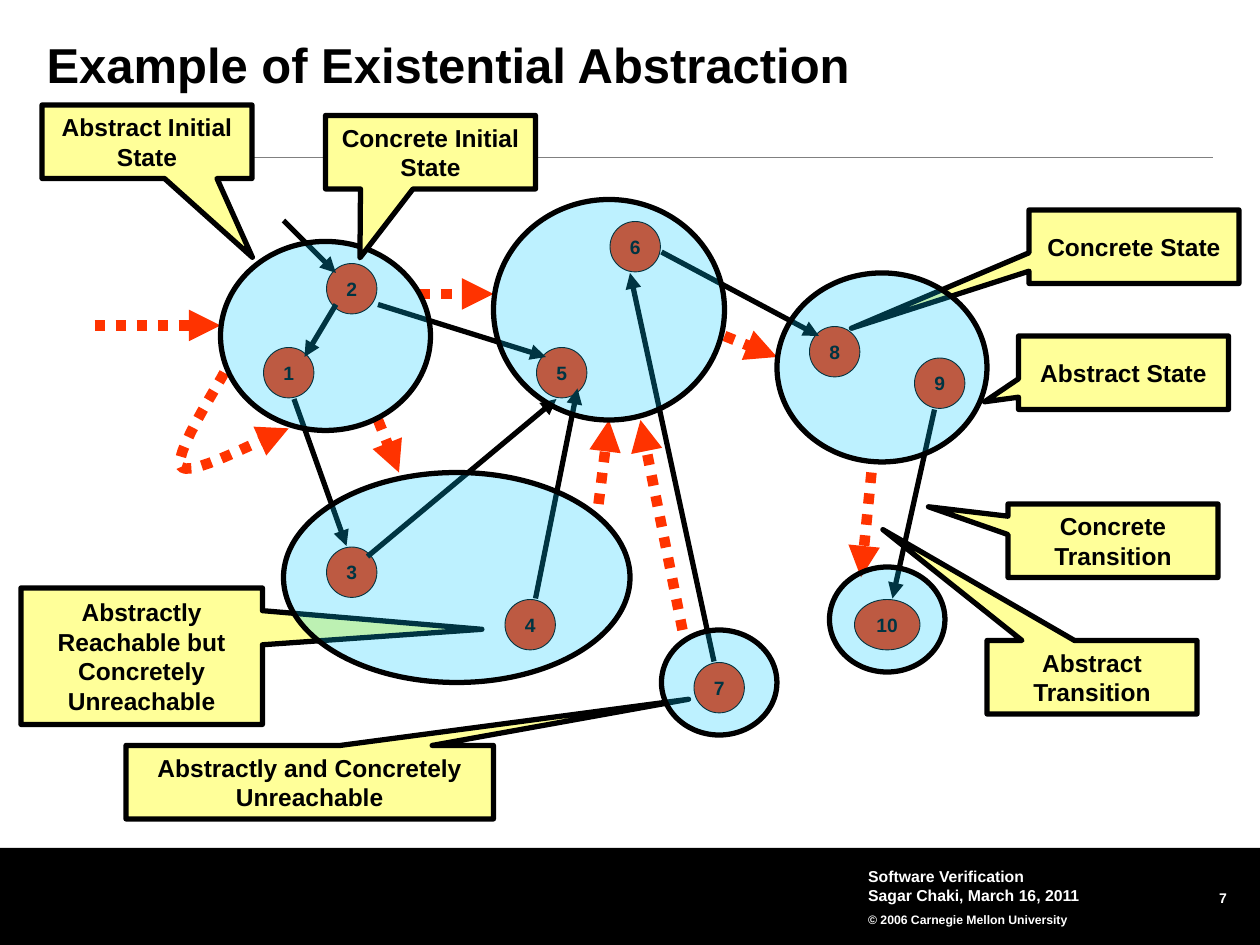
from lxml.etree import SubElement as Sub
from pptx import Presentation
from pptx.dml.color import RGBColor
from pptx.enum.dml import MSO_LINE as Dash
from pptx.enum.shapes import MSO_CONNECTOR as Conn, MSO_SHAPE as Kind
from pptx.enum.text import MSO_ANCHOR as Anchor, MSO_AUTO_SIZE as Auto, PP_ALIGN as Align
from pptx.oxml.ns import qn
from pptx.util import Inches, Pt

CELL = 1 / 12  # grid step in inches: 120 columns by 90 rows
COLS, ROWS = 120, 90

# Concrete states: name, centre, width
NODES = [("2", 33.5, 27.5, 4.8), ("1", 27.5, 35.5, 4.8), ("3", 33.5, 54.5, 4.8),
         ("6", 60.5, 23.5, 4.8), ("5", 53.5, 35.5, 4.8), ("4", 50.5, 59.5, 4.8),
         ("9", 89.5, 36.5, 4.8), ("7", 68.5, 65.5, 4.8), ("10", 84.5, 59.5, 6.24),
         ("8", 79.5, 33.5, 4.8)]
# Transitions: from, to
STEPS = [(28, 38, 33, 52), (32, 29, 29, 34), (36, 29, 52, 34), (63, 24, 78, 32),
         (89, 39, 85, 57), (35, 53, 53, 38), (51, 57, 55, 37), (27, 21, 32, 26),
         (68, 63, 60, 26)]
JUMPS = [(9, 31, 21, 31), (40, 28, 47, 28), (36, 40, 38, 45), (57, 48, 58, 40),
         (65, 60, 61, 40), (69, 32, 74, 34), (83, 45, 82, 55)]
# Self loop of the first abstract state: two cubic curves
LOOP = [[(21.36, 35.5), (20.6, 37), (16.3, 43.6), (17.3, 44.5)],
        [(17.3, 44.5), (18.3, 45.4), (25.3, 41.6), (27.5, 40.8)]]
# Abstract states: left, top, width, height
GROUPS = [(21, 23, 20, 18), (27, 45, 33, 20), (47, 19, 22, 21),
          (63, 60, 11, 10), (74, 26, 20, 18), (79, 54, 11, 10)]
# Callouts: text, box, tip
RIGHT = [("Concrete State", (98, 20, 20, 7), (81.08, 31.27)),
         ("Concrete Transition", (96, 48, 20, 7), (88.42, 48.27)),
         ("Abstract State", (97, 32, 20, 7), (93.76, 38.27))]
LOW = [("Abstract Transition", (94, 61, 20, 7), (84.08, 50.44)),
       ("Abstractly and Concretely Unreachable", (12, 71, 35, 7), (65.59, 66.6)),
       ("Abstractly Reachable but Concretely Unreachable", (2, 56, 23, 13), (45.91, 59.94))]
TOP = [("Concrete Initial State", (31, 11, 20, 7), (34.28, 24.56)),
       ("Abstract Initial State", (4, 10, 20, 7), (24.04, 24.51))]


def hue(code):
    return RGBColor.from_string(code)


def cells(*nums):
    return [Inches(n * CELL) for n in nums]


def inner(box, x, y, w, h):
    """Box in cells, offset from the corner of its parent."""
    return cells(box[0] + x, box[1] + y, w, h)


def write(frame, lines, form, pads=(0.1, 0.05, 0.1, 0.05)):
    """Each line is (text, size, line spacing)."""
    frame.auto_size = Auto.NONE
    frame.word_wrap = form.get("wrap", True)
    frame.vertical_anchor = form.get("anchor", Anchor.MIDDLE)
    for side, pad in zip(("left", "top", "right", "bottom"), pads):
        setattr(frame, "margin_" + side, Inches(pad))
    for i, (text, size, gap) in enumerate(lines):
        par = frame.add_paragraph() if i else frame.paragraphs[0]
        par.alignment, par.line_spacing = form.get("align", Align.CENTER), gap
        run = par.add_run()
        run.text = text
        for key, val in {"name": "Arial", "bold": True, "size": Pt(size)}.items():
            setattr(run.font, key, val)
        run.font.color.rgb = hue(form.get("color", "000000"))


def draw(slide, kind, place, fill, width, alpha=None):
    shape = slide.shapes.add_shape(kind, *place)
    shape.shadow.inherit = False
    shape.fill.solid()
    shape.fill.fore_color.rgb = hue(fill)
    if alpha:
        tone = shape.element.spPr.find(".//" + qn("a:srgbClr"))
        Sub(tone, qn("a:alpha"), val=str(alpha * 1000))
    if width:
        shape.line.color.rgb, shape.line.width = hue("000000"), Pt(width)
    else:
        shape.line.fill.background()
    return shape


def stroke(shape, color, width, dash=None, head=True):
    shape.line.color.rgb, shape.line.width = hue(color), Pt(width)
    if dash:
        shape.line.dash_style = dash
    props = shape.element.spPr
    if head:
        Sub(props.find(qn("a:ln")), qn("a:tailEnd"), type="triangle")
    if props.find(qn("a:effectLst")) is None:
        Sub(props, qn("a:effectLst"))


def link(slide, box, ends, *style, **more):
    x, y = box[:2]
    ends = [n + (x, y)[i % 2] for i, n in enumerate(ends)]
    stroke(slide.shapes.add_connector(Conn.STRAIGHT, *cells(*ends)), *style, **more)


def bend(a, b, c, d, t):
    """Point of a cubic curve at share t."""
    s = 1 - t
    return tuple(s**3 * p + 3 * s * s * t * q + 3 * s * t * t * r + t**3 * u
                 for p, q, r, u in zip(a, b, c, d))


def loop(slide, box):
    pts = [bend(*curve, i / 12) for curve in LOOP for i in range(13)]
    pts = [cells(box[0] + x, box[1] + y) for x, y in pts]
    pen = slide.shapes.build_freeform(*pts[0], scale=1.0)
    pen.add_line_segments(pts[1:], close=False)
    shape = pen.convert_to_shape()
    shape.fill.background()
    stroke(shape, "FF3300", 6, Dash.ROUND_DOT)


def notes(slide, box, items):
    for text, (x, y, w, h), tip in items:
        shape = draw(slide, Kind.RECTANGULAR_CALLOUT, inner(box, x, y, w, h), "FFFF99", 3)
        shape.adjustments[0] = (tip[0] - x) / w - 0.5
        shape.adjustments[1] = (tip[1] - y) / h - 0.5
        write(shape.text_frame, [(text, 14, 1.0)], {})


def graph(slide, box):
    # Concrete states and transitions
    for name, x, y, w in NODES:
        node = draw(slide, Kind.OVAL, inner(box, x - w / 2, y - 2.4, w, 4.8), "FF3300", 0.5)
        write(node.text_frame, [(name, 11, 1.0)], {"wrap": False})
    for ends in STEPS:
        link(slide, box, ends, "000000", 3)
    notes(slide, box, RIGHT)
    # Abstract transitions
    for ends in JUMPS:
        link(slide, box, ends, "FF3300", 6, Dash.ROUND_DOT)
    loop(slide, box)
    notes(slide, box, LOW)
    # Abstract states laid over the concrete ones
    for place in GROUPS:
        draw(slide, Kind.OVAL, inner(box, *place), "00CCFF", 3, 26)
    notes(slide, box, TOP)


def header(slide, box):
    title = slide.shapes.title
    spots = zip(("left", "top", "width", "height"), inner(box, 4.44, 3.96, 105.36, 7.32))
    for key, val in spots:
        setattr(title, key, val)
    write(title.text_frame, [("Example of Existential Abstraction", 28, 0.9)],
          {"align": Align.LEFT, "anchor": Anchor.TOP}, (0, 0, 0, 0))
    link(slide, box, (4, 15, 115.5, 15), "808080", 0.5, head=False)


def footer(slide, box):
    draw(slide, Kind.RECTANGLE, cells(*box), "000000", 0)
    page = slide.shapes.add_textbox(*inner(box, 107, 3.4, 11.04, 4.92))
    write(page.text_frame, [("7", 8, Pt(13))],
          {"align": Align.RIGHT, "anchor": Anchor.TOP, "color": "FFFFFF"}, (0, 0, 0.1, 0.05))
    info = slide.shapes.add_textbox(*inner(box, 82.08, 1.2, 30.96, 6.96))
    write(info.text_frame, [("Software Verification", 9, 1.0),
                            ("Sagar Chaki, March 16, 2011", 9, 1.0),
                            ("© 2006 Carnegie Mellon University", 7, 1.5)],
          {"align": Align.LEFT, "color": "FFFFFF"}, (0.05,) * 4)


def main():
    deck = Presentation()
    deck.slide_width, deck.slide_height = cells(COLS, ROWS)
    slide = deck.slides.add_slide(deck.slide_layouts[5])
    foot = 9.24
    footer(slide, (0, ROWS - foot, COLS, foot))
    header(slide, (0, 0, COLS, 16))
    graph(slide, (0, 0, COLS, ROWS - foot))
    deck.save("out.pptx")


if __name__ == "__main__":
    main()
